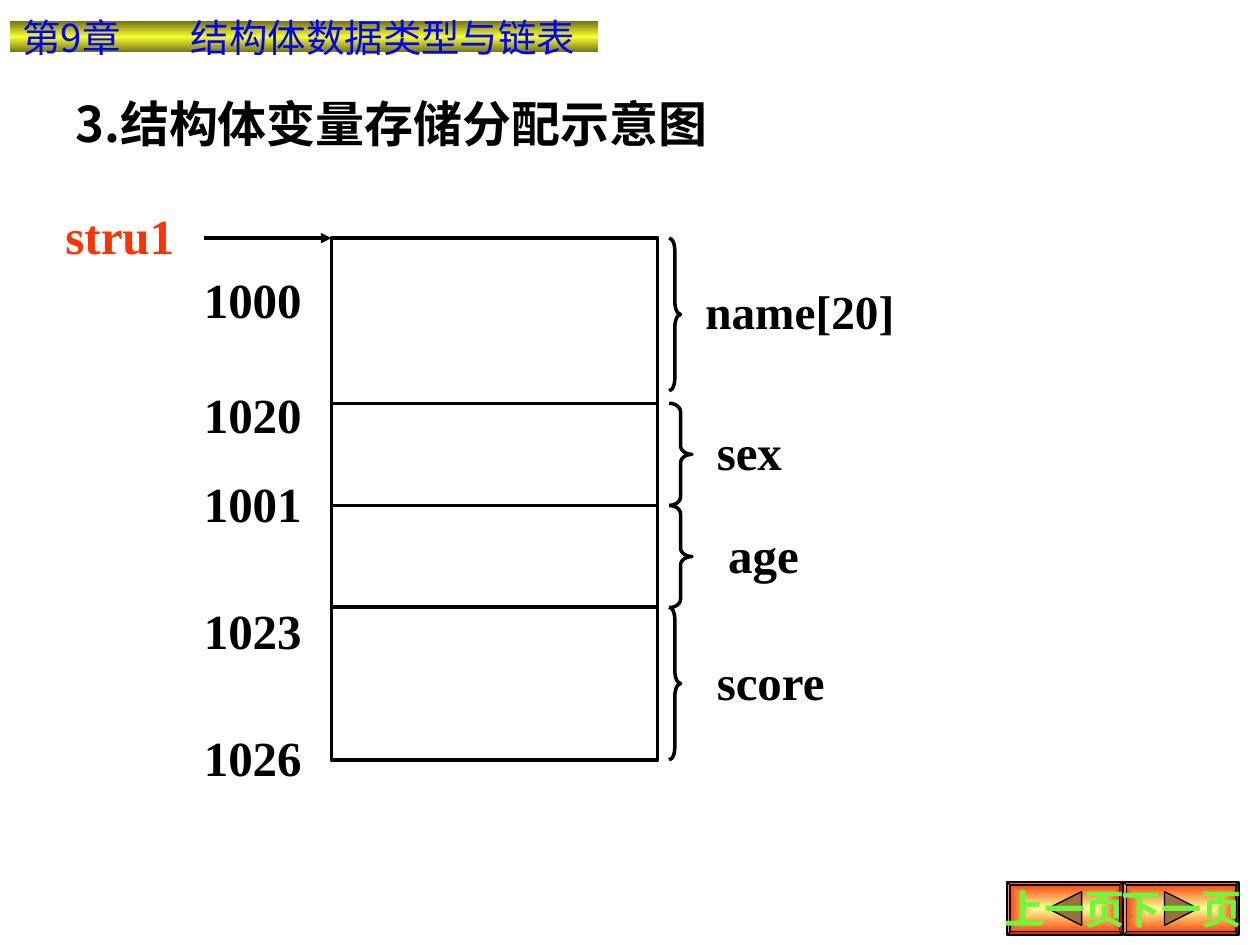
from lxml import etree
from pptx import Presentation
from pptx.dml.color import RGBColor
from pptx.enum.shapes import MSO_CONNECTOR as CONN, MSO_SHAPE as SHAPE
from pptx.enum.text import MSO_ANCHOR as ANCHOR, PP_ALIGN as ALIGN
from pptx.oxml.ns import qn
from pptx.util import Cm, Pt

SERIF, CJK = "Times New Roman", "Noto Sans CJK SC"
BLACK = "000000"


def color(hex_str):
    return RGBColor.from_string(hex_str)


def write(sp, text, size, font=SERIF, fill=BLACK, bold=True, tab=None):
    """Put one line of text in a shape, with an optional tab stop."""
    p = sp.text_frame.paragraphs[0]
    p.text = text
    if tab:
        tabs = etree.SubElement(p._p.get_or_add_pPr(), qn("a:tabLst"))
        etree.SubElement(tabs, qn("a:tab"), pos=str(Cm(tab)), algn="l")
    p.font.size, p.font.bold, p.font.name = Pt(size), bold, font
    p.font.color.rgb = color(fill)
    for r in p.runs:
        etree.SubElement(r._r.get_or_add_rPr(), qn("a:ea"), typeface=CJK)
    return p


def add_label(s, text, x, y, w, h=1.45, size=28, **style):
    sp = s.shapes.add_textbox(Cm(x), Cm(y), Cm(w), Cm(h))
    sp.text_frame.word_wrap = True
    return write(sp, text, size, **style)


def add_shape(s, kind, x, y, w, h, line=BLACK, weight=2):
    sp = s.shapes.add_shape(kind, Cm(x), Cm(y), Cm(w), Cm(h))
    sp.shadow.inherit = False
    if line:
        sp.line.color.rgb, sp.line.width = color(line), Pt(weight)
    else:
        sp.line.fill.background()
    return sp


def add_line(s, x1, y1, x2, y2, arrow=False):
    c = s.shapes.add_connector(CONN.STRAIGHT, Cm(x1), Cm(y1), Cm(x2), Cm(y2))
    c.line.color.rgb, c.line.width = color(BLACK), Pt(2)
    if arrow:
        etree.SubElement(c.line._get_or_add_ln(), qn("a:tailEnd"), type="triangle")
    etree.SubElement(c._element.spPr, qn("a:effectLst"))


def add_brace(s, x, y, w, h):
    sp = add_shape(s, SHAPE.RIGHT_BRACE, x, y, w, h)
    sp.fill.background()
    sp.adjustments[0] = h / 12 / w


def set_gradient(sp, stops, centered=False):
    """Fill with a vertical gradient, or with one spreading from the centre."""
    sp.fill.solid()
    solid = sp._element.spPr.find(qn("a:solidFill"))
    grad = etree.Element(qn("a:gradFill"), rotWithShape="1")
    gs_list = etree.SubElement(grad, qn("a:gsLst"))
    for pos, hex_str in stops:
        gs = etree.SubElement(gs_list, qn("a:gs"), pos=str(pos * 1000))
        etree.SubElement(gs, qn("a:srgbClr"), val=hex_str)
    if centered:
        path = etree.SubElement(grad, qn("a:path"), path="rect")
        etree.SubElement(path, qn("a:fillToRect"), l="50000", t="50000",
                         r="50000", b="50000")
    else:
        etree.SubElement(grad, qn("a:lin"), ang="5400000", scaled="1")
    solid.getparent().replace(solid, grad)


def add_button(s, text, x, direction):
    """Bevelled button with a triangle pointing left (-1) or right (1)."""
    y, w, h, half = 17.78, 2.33, 1.07, 0.34
    sp = add_shape(s, SHAPE.BEVEL, x, y, w, h, weight=0.75)
    sp.adjustments[0] = 0.06
    set_gradient(sp, [(0, "FFFF99"), (100, "FF3300")], centered=True)

    cx, cy = x + w / 2, y + h / 2
    base, tip = cx - direction * half, cx + direction * half
    fb = s.shapes.build_freeform(Cm(base), Cm(cy - half))
    fb.add_line_segments([(Cm(tip), Cm(cy)), (Cm(base), Cm(cy + half))])
    arrow = fb.convert_to_shape()
    arrow.shadow.inherit = False
    arrow.fill.solid()
    arrow.fill.fore_color.rgb = color("99713D")
    arrow.line.color.rgb, arrow.line.width = color(BLACK), Pt(0.75)
    arrow.text_frame.word_wrap = False
    arrow.text_frame.vertical_anchor = ANCHOR.MIDDLE
    write(arrow, text, 23, fill="66FF33").alignment = ALIGN.CENTER


def add_header(s):
    sp = add_shape(s, SHAPE.RECTANGLE, 0.2, 0.43, 11.86, 0.63, line=None)
    set_gradient(sp, [(0, "727415"), (50, "F8FD2F"), (100, "727415")])
    sp.text_frame.vertical_anchor = ANCHOR.MIDDLE
    p = write(sp, "第9章\t结构体数据类型与链表", 22, CJK, "0000FF", False, tab=3.4)
    p.alignment = ALIGN.LEFT


def add_memory(s):
    left, right = 6.68, 13.26
    edges = [4.8, 8.13, 10.19, 12.24, 15.32]

    # Memory block and its dividers
    block = add_shape(s, SHAPE.RECTANGLE, left, edges[0], right - left,
                      edges[-1] - edges[0])
    block.fill.solid()
    block.fill.fore_color.rgb = color("FFFFFF")
    for y in edges[1:-1]:
        add_line(s, left, y, right, y)

    # Variable name and pointer
    add_label(s, "stru1", 1.07, 4.01, 3.05, fill="FF3300")
    add_line(s, 4.11, edges[0], left, edges[0], arrow=True)

    # Addresses
    for text, y in [("1000", 5.31), ("1020", 7.62), ("1001", 9.42),
                    ("1023", 11.99), ("1026", 14.55)]:
        add_label(s, text, 3.86, y, 2.59)

    # Members: brace top, width and height, then label place and size
    members = [("name[20]", edges[0], 0.23, 3.08, 13.97, 5.56, 27),
               ("sex", edges[1], 0.46, 2.06, 14.2, 8.38, 28),
               ("age", edges[2], 0.46, 2.06, 14.43, 10.44, 28),
               ("score", edges[3], 0.23, 3.08, 14.2, 13, 28)]
    for text, top, w, h, x, y, size in members:
        add_brace(s, 13.49, top, w, h)
        add_label(s, text, x, y, 4.45, size=size)


def main():
    prs = Presentation()
    prs.slide_width, prs.slide_height = Cm(25.4), Cm(19.05)
    s = prs.slides.add_slide(prs.slide_layouts[6])

    add_memory(s)
    title = add_label(s, "3.结构体变量存储分配示意图", 1.27, 1.9, 15.24, 1.32, font=CJK)
    title.line_spacing = 0.9
    add_header(s)
    add_button(s, "下一页", 22.65, 1)
    add_button(s, "上一页", 20.3, -1)
    prs.save("out.pptx")


if __name__ == "__main__":
    main()
